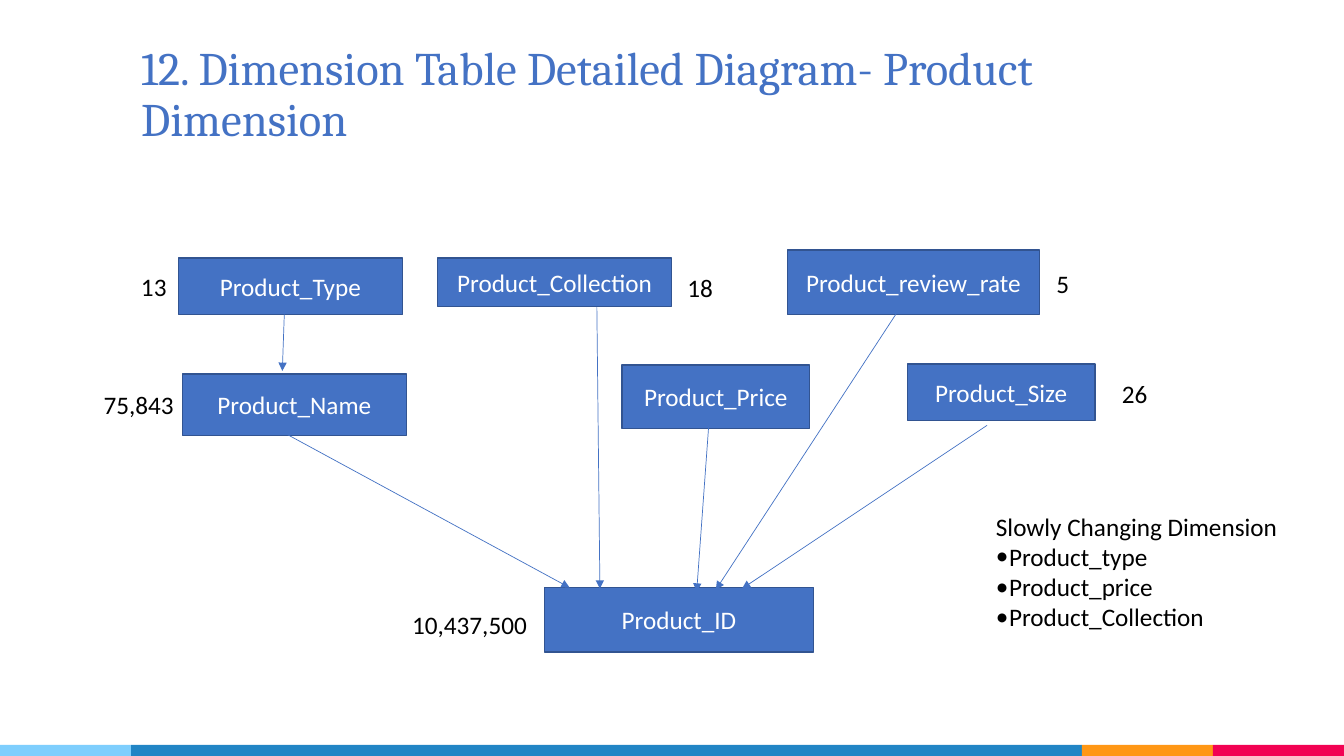
import pptx
import pptx.util
import pptx.dml.color
import pptx.enum.shapes
import pptx.enum.text
import pptx.oxml.ns
import lxml.etree

Inches = pptx.util.Inches
Pt = pptx.util.Pt
ALIGN = pptx.enum.text.PP_ALIGN
ANCHOR = pptx.enum.text.MSO_ANCHOR
RECT = pptx.enum.shapes.MSO_SHAPE.RECTANGLE
STRAIGHT = pptx.enum.shapes.MSO_CONNECTOR.STRAIGHT
qn = pptx.oxml.ns.qn

BLUE, EDGE, WHITE, BLACK = "4472C4", "325491", "FFFFFF", "000000"
TITLE = "12. Dimension Table Detailed Diagram- Product Dimension"
BAND = [("7ECEFD", 1.3), ("2185C5", 9.43), ("FF9715", 1.3), ("F20253", 1.3)]
BOXES = [
    ("Product_Name", 1.81, 3.71, 2.22, 0.61),
    ("Product_Type", 1.77, 2.56, 2.22, 0.56),
    ("Product_ID", 5.4, 5.83, 2.67, 0.64),
    ("Product_Price", 6.17, 3.62, 1.86, 0.63),
    ("Product_Size", 9, 3.61, 1.86, 0.56),
    ("Product_Collection", 4.34, 2.56, 2.32, 0.48),
    ("Product_review_rate", 7.81, 2.48, 2.5, 0.64),
]
COUNTS = [
    ("75,843", 0.93, 3.81, 1.67),
    ("13", 1.3, 2.64, 0.52),
    ("10,437,500", 3.99, 6, 1.47),
    ("26", 11.03, 3.7, 0.5),
    ("18", 6.72, 2.65, 0.49),
    ("5", 10.38, 2.61, 0.54),
]
ARROWS = [
    (2.82, 3.12, 2.8, 3.68),
    (7.03, 4.21, 6.91, 5.87),
    (9.79, 4.22, 7.36, 5.84),
    (5.92, 3.05, 5.95, 5.84),
    (8.91, 3.08, 7.1, 5.85),
    (2.83, 4.3, 5.65, 5.83),
]
CHANGING = ["Slowly Changing Dimension", "Product_type", "Product_price", "Product_Collection"]


def color(value):
    return pptx.dml.color.RGBColor.from_string(value)


def style(p, hexa, size=18, name="Calibri"):
    for r in p.runs:
        r.font.size = Pt(size)
        r.font.name = name
        r.font.color.rgb = color(hexa)


def rect(s, x, y, w, h, fill):
    sp = s.shapes.add_shape(RECT, Inches(x), Inches(y), Inches(w), Inches(h))
    sp.shadow.inherit = False
    sp.fill.solid()
    sp.fill.fore_color.rgb = color(fill)
    sp.line.fill.background()
    return sp


def add_title(s):
    sp = s.shapes.title
    sp.left, sp.top, sp.width, sp.height = Inches(1.3), Inches(0.3), Inches(9.42), Inches(1.25)
    tf = sp.text_frame
    tf.text = TITLE
    tf.word_wrap = True
    tf.auto_size = pptx.enum.text.MSO_AUTO_SIZE.NONE
    tf.vertical_anchor = ANCHOR.BOTTOM
    tf.margin_left = tf.margin_right = tf.margin_top = tf.margin_bottom = Inches(0.1)
    p = tf.paragraphs[0]
    p.alignment = ALIGN.LEFT
    p.line_spacing = 0.9
    p.space_before = Pt(0)
    style(p, BLUE, 33.3, "Cambria")


def add_box(s, text, x, y, w, h):
    sp = rect(s, x, y, w, h, BLUE)
    sp.line.color.rgb = color(EDGE)
    sp.line.width = Pt(1)
    tf = sp.text_frame
    tf.text = text
    tf.word_wrap = True
    tf.vertical_anchor = ANCHOR.MIDDLE
    p = tf.paragraphs[0]
    p.alignment = ALIGN.CENTER
    style(p, WHITE)


def add_text(s, lines, x, y, w, h):
    tf = s.shapes.add_textbox(Inches(x), Inches(y), Inches(w), Inches(h)).text_frame
    tf.word_wrap = True
    tf.text = "\n".join(lines)
    for p in tf.paragraphs:
        style(p, BLACK)
    return tf


def add_bullet(p):
    pPr = p._p.get_or_add_pPr()
    pPr.set("marL", str(Inches(0.13)))
    pPr.set("indent", str(-Inches(0.13)))
    lxml.etree.SubElement(pPr, qn("a:buFont")).set("typeface", "Calibri")
    lxml.etree.SubElement(pPr, qn("a:buChar")).set("char", "•")


def add_arrow(s, *ends):
    cn = s.shapes.add_connector(STRAIGHT, *[Inches(v) for v in ends])
    cn.line.color.rgb = color(BLUE)
    cn.line.width = Pt(0.5)
    ln = cn.line._get_or_add_ln()
    lxml.etree.SubElement(ln, qn("a:tailEnd")).set("type", "triangle")
    lxml.etree.SubElement(cn._element.spPr, qn("a:effectLst"))


def main():
    prs = pptx.Presentation()
    prs.slide_width, prs.slide_height = Inches(13.33), Inches(7.5)
    s = prs.slides.add_slide(prs.slide_layouts[5])
    add_title(s)
    x = 0
    for fill, w in BAND:
        rect(s, x, 7.39, w, 0.11, fill)
        x += w
    for box in BOXES:
        add_box(s, *box)
    for text, x, y, w in COUNTS:
        add_text(s, [text], x, y, w, 0.4)
    for arrow in ARROWS:
        add_arrow(s, *arrow)
    tf = add_text(s, CHANGING, 9.78, 5.02, 3.54, 1.31)
    for p in tf.paragraphs[1:]:
        add_bullet(p)
    prs.save("out.pptx")


if __name__ == "__main__":
    main()
